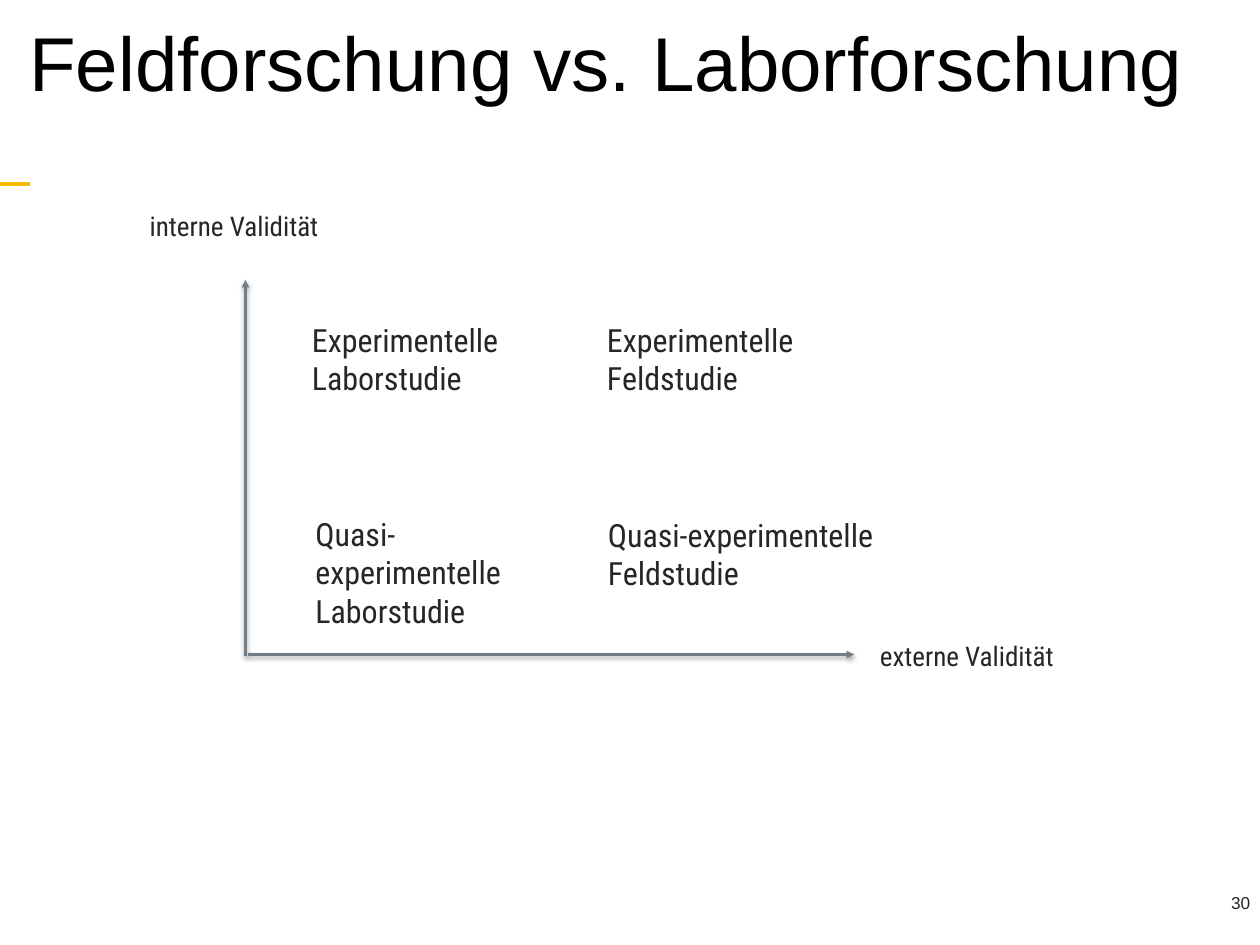
from pptx import Presentation
from pptx.dml.color import RGBColor
from pptx.enum.shapes import MSO_CONNECTOR
from pptx.enum.text import MSO_ANCHOR, MSO_AUTO_SIZE, PP_ALIGN
from pptx.oxml import parse_xml
from pptx.oxml.ns import nsdecls, qn
from pptx.util import Inches, Pt

COLORS = {"title": "000000", "text": "262626", "axis": "717D87", "accent": "F7BC05"}
SHADOW = (
    '<a:outerShdw blurRad="50800" dist="25400" dir="5400000" rotWithShape="0">'
    '<a:srgbClr val="000000"><a:alpha val="38000"/></a:srgbClr></a:outerShdw>'
)


def write(tf, text, size=26, font="Roboto Condensed", color="text", align=PP_ALIGN.LEFT, inset=0.07):
    """Fill a text frame with one formatted paragraph and return it."""
    tf.margin_left = tf.margin_right = tf.margin_top = tf.margin_bottom = Inches(inset)
    p = tf.paragraphs[0]
    p.alignment = align
    r = p.add_run()
    r.text = text
    r.font.size = Pt(size)
    r.font.name = font
    r.font.color.rgb = RGBColor.from_string(COLORS[color])
    return p


class Deck:
    """Hold the presentation style and the current slide."""

    def __init__(self, width, height):
        """Start a presentation with one title-only slide."""
        self.prs = Presentation()
        self.prs.slide_width, self.prs.slide_height = Inches(width), Inches(height)
        self.s = self.prs.slides.add_slide(self.prs.slide_layouts[5])

    def title(self, text, x, y, w, h):
        """Move and format the title placeholder."""
        sp = self.s.shapes.title
        sp.left, sp.top, sp.width, sp.height = map(Inches, (x, y, w, h))
        tf = sp.text_frame
        tf.word_wrap = True
        tf.auto_size = MSO_AUTO_SIZE.NONE
        tf.vertical_anchor = MSO_ANCHOR.MIDDLE
        p = write(tf, text, size=62, font="Arial", color="title", inset=0.05)
        p.line_spacing = 0.9
        pPr = p._p.get_or_add_pPr()
        for side in ("marL", "indent"):
            pPr.set(side, str(Inches(0.14)))

    def text(self, text, x, y, w, h, wrap=True, **style):
        """Add a text box."""
        tf = self.s.shapes.add_textbox(*map(Inches, (x, y, w, h))).text_frame
        tf.word_wrap = wrap
        tf.auto_size = MSO_AUTO_SIZE.SHAPE_TO_FIT_TEXT
        write(tf, text, **style)

    def line(self, x1, y1, x2, y2, color, width, arrow=False):
        """Add a straight line, or an arrow with a soft shadow."""
        c = self.s.shapes.add_connector(MSO_CONNECTOR.STRAIGHT, *map(Inches, (x1, y1, x2, y2)))
        c.line.color.rgb = RGBColor.from_string(COLORS[color])
        c.line.width = Pt(width)
        spPr = c._element.spPr
        if arrow:
            spPr.find(qn("a:ln")).append(parse_xml(f'<a:tailEnd {nsdecls("a")} type="triangle"/>'))
        effects = SHADOW if arrow else ""
        spPr.append(parse_xml(f'<a:effectLst {nsdecls("a")}>{effects}</a:effectLst>'))


def main():
    """Build the slide on field and laboratory research."""
    deck = Deck(14.22, 10.67)
    deck.line(0, 2.08, 0.34, 2.08, "accent", 3)
    deck.text("30", 11.81, 10, 2.37, 0.36, size=14, font="Arial", align=PP_ALIGN.RIGHT)
    deck.title("Feldforschung vs. Laborforschung", 0, -0.02, 14.23, 1.55)

    for study, x, y, w, h in (
        ("Experimentelle Laborstudie", 3.45, 3.55, 3.07, 0.98),
        ("Experimentelle Feldstudie", 6.78, 3.55, 3.22, 0.98),
        ("Quasi-experimentelle Laborstudie", 3.49, 5.74, 2.77, 1.39),
        ("Quasi-experimentelle Feldstudie", 6.79, 5.75, 3.44, 0.98),
    ):
        deck.text(study, x, y, w, h)

    deck.line(2.77, 7.41, 2.77, 3.16, "axis", 2, arrow=True)
    deck.line(2.8, 7.39, 9.64, 7.39, "axis", 2, arrow=True)
    deck.text("interne Validität", 1.62, 2.3, 2.06, 0.49, wrap=False, size=22)
    deck.text("externe Validität", 9.86, 7.15, 2.12, 0.49, wrap=False, size=22)
    deck.prs.save("out.pptx")


if __name__ == "__main__":
    main()
